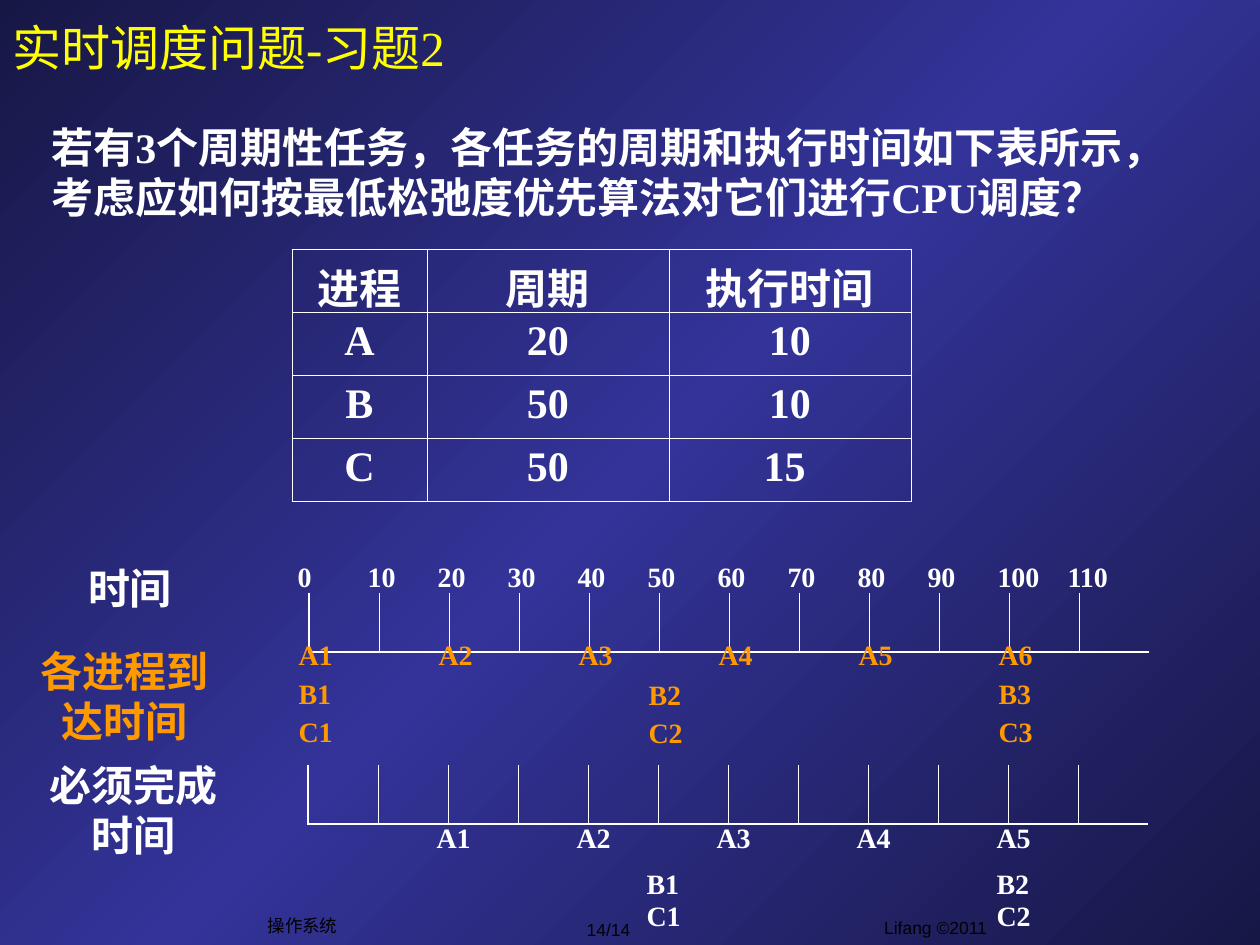
from copy import deepcopy
from dataclasses import dataclass

from lxml import etree
from pptx import Presentation
from pptx.dml.color import RGBColor
from pptx.enum.text import MSO_ANCHOR, PP_ALIGN
from pptx.oxml.ns import qn
from pptx.util import Emu, Pt

LEFT, CENTER = PP_ALIGN.LEFT, PP_ALIGN.CENTER
TOP, MIDDLE = MSO_ANCHOR.TOP, MSO_ANCHOR.MIDDLE
EMU_PER_PX = 914400 / 126
NO_STYLE = "{2D5ABB26-0587-4C30-8999-92F81FD0307C}"
STEP = 70       # width of ten time units
SLOTS = 12
INSET = 6       # top margin of a cell
LINE = 39       # one event line with its spacing


@dataclass(frozen=True)
class Theme:
    serif: str = "Times New Roman"
    sans: str = "Arial"
    title: str = "FFFF00"
    text: str = "FFFFFF"
    arrival: str = "FF9900"
    footer: str = "000000"
    edge: str = "171746"
    glow: str = "333399"
    title_size: int = 28
    body_size: int = 24
    event_size: int = 16
    footer_size: int = 10
    thin: float = 0.45
    thick: float = 1.08


THEME = Theme()


def px(length):
    return Emu(round(length * EMU_PER_PX))


def style_text(frame, size, color, bold=True, font=THEME.serif, align=LEFT, gap=0):
    """Format every paragraph; gap is the space in points between paragraphs."""
    for index, para in enumerate(frame.paragraphs):
        para.alignment = align
        if index and gap:
            para.space_before = Pt(gap)
        for span in para.runs:
            span.font.name = font
            span.font.size = Pt(size)
            span.font.bold = bold
            span.font.color.rgb = RGBColor.from_string(color)


def add_text(page, box, text, size, color, anchor=TOP, wrap=True, **style):
    frame = page.shapes.add_textbox(*map(px, box)).text_frame
    frame.word_wrap = wrap
    frame.vertical_anchor = anchor
    frame.text = text
    style_text(frame, size, color, **style)


def add_plain_table(page, left, top, widths, heights):
    """Add a table without style, fill or borders."""
    frame = page.shapes.add_table(len(heights), len(widths), px(left), px(top),
                                  px(sum(widths)), px(sum(heights)))
    frame.element.find(".//" + qn("a:tableStyleId")).text = NO_STYLE
    table = frame.table
    table.first_row = table.horz_banding = False
    for column, width in zip(table.columns, widths):
        column.width = px(width)
    for row, height in zip(table.rows, heights):
        row.height = px(height)
    for cell in table.iter_cells():
        cell.fill.background()
    return table


def set_borders(cell, **widths):
    """Draw the sides named L, R, T, B, in that order, with widths in points."""
    properties = cell._tc.get_or_add_tcPr()
    for index, (side, width) in enumerate(widths.items()):
        line = etree.Element(qn("a:ln" + side), w=str(Pt(width)))
        fill = etree.SubElement(line, qn("a:solidFill"))
        etree.SubElement(fill, qn("a:srgbClr"), val=THEME.text)
        properties.insert(index, line)


def paint_background(page):
    fill = page.background.fill
    fill.gradient()
    fill.gradient_angle = 135
    stops = page.element.find(".//" + qn("a:gsLst"))
    stops.append(deepcopy(stops[0]))
    colors = (THEME.edge, THEME.glow, THEME.edge)
    for stop, position, color in zip(fill.gradient_stops, (0, 0.5, 1), colors):
        stop.position = position
        stop.color.rgb = RGBColor.from_string(color)


def add_footer(page):
    parts = (
        ((736, 911, 399, 44), "Lifang ©2011", TOP, True),
        ((544, 912, 129, 34), "14/14", MIDDLE, False),
        ((255, 908, 95, 34), "操作系统", MIDDLE, False),
    )
    for box, text, anchor, wrap in parts:
        add_text(page, box, text, THEME.footer_size, THEME.footer, anchor, wrap,
                 bold=False, font=THEME.sans, align=CENTER)


def set_title(page, box, text):
    title = page.shapes.title
    title.left, title.top, title.width, title.height = map(px, box)
    title.text_frame.text = text
    title.text_frame.vertical_anchor = MIDDLE
    style_text(title.text_frame, THEME.title_size, THEME.title, bold=False)


def add_task_table(page, left, top):
    rows = (
        ("进程", "周期", "执行时间"),
        ("A", "20", "10"),
        ("B", "50", "10"),
        ("C", "50", "15 "),
    )
    table = add_plain_table(page, left, top, (135, 242, 242), (63,) * len(rows))
    for r, row in enumerate(rows):
        for c, text in enumerate(row):
            cell = table.cell(r, c)
            cell.text_frame.text = text
            style_text(cell.text_frame, THEME.body_size, THEME.text, align=CENTER)
            set_borders(cell, **dict.fromkeys("LRTB", THEME.thin))


def add_ruler(page, left, top):
    """Draw a time axis whose ticks are the cell borders."""
    table = add_plain_table(page, left, top, (STEP,) * SLOTS, (59,))
    for slot in range(SLOTS):
        sides = {"L": THEME.thin if slot else THEME.thick}
        if slot < SLOTS - 1:
            sides["R"] = THEME.thin
        set_borders(table.cell(0, slot), **sides, B=THEME.thick)


def add_event_row(page, left, top, height, events, color=THEME.text):
    """Place events, a dict of slot to (text, first line), along the axis."""
    table = add_plain_table(page, left, top, (STEP,) * SLOTS, (height,))
    for slot, (text, line) in events.items():
        cell = table.cell(0, slot)
        cell.margin_top = px(INSET + line * LINE)
        cell.text_frame.text = text
        style_text(cell.text_frame, THEME.event_size, color, gap=4)


def add_arrival_axis(page, left, top):
    times = {slot: (str(slot * 10), 0) for slot in range(SLOTS)}
    arrivals = {2 * n: (f"A{n + 1}", 0) for n in range(6)}
    arrivals[0] = ("A1\nB1\nC1", 0)
    arrivals[5] = ("B2\nC2", 1)
    arrivals[10] = ("A6\nB3\nC3", 0)
    add_ruler(page, left, top)
    add_event_row(page, left - 24, top - 36, 47, times)
    add_event_row(page, left - 23, top + 42, 127, arrivals, THEME.arrival)


def add_deadline_axis(page, left, top):
    deadlines = {2 * n: (f"A{n}", 0) for n in range(1, 6)}
    add_ruler(page, left, top)
    add_event_row(page, left - 24, top + 53, 47, deadlines)
    add_event_row(page, left - 24, top + 99, 80,
                  {5: ("B1\vC1", 0), 10: ("B2\vC2", 0)})


def add_axis_labels(page):
    labels = (
        ((64, 556, 132, 63), "时间", THEME.text),
        ((25, 639, 200, 113), "各进程到达时间", THEME.arrival),
        ((35, 753, 197, 113), "必须完成时间", THEME.text),
    )
    for box, text, color in labels:
        add_text(page, box, text, THEME.body_size, color, align=CENTER)


def main():
    deck = Presentation()
    deck.slide_width, deck.slide_height = px(1260), px(945)
    page = deck.slides.add_slide(deck.slide_layouts[5])
    paint_background(page)
    add_footer(page)
    set_title(page, (0, 0, 1072, 94), "实时调度问题-习题2")
    add_text(page, (39, 89, 1173, 166),
             "若有3个周期性任务，各任务的周期和执行时间如下表所示，"
             "考虑应如何按最低松弛度优先算法对它们进行CPU调度？",
             THEME.body_size, THEME.text, MIDDLE)
    add_task_table(page, 292, 249)
    add_arrival_axis(page, 309, 593)
    add_deadline_axis(page, 308, 765)
    add_axis_labels(page)
    deck.save("out.pptx")


if __name__ == "__main__":
    main()
